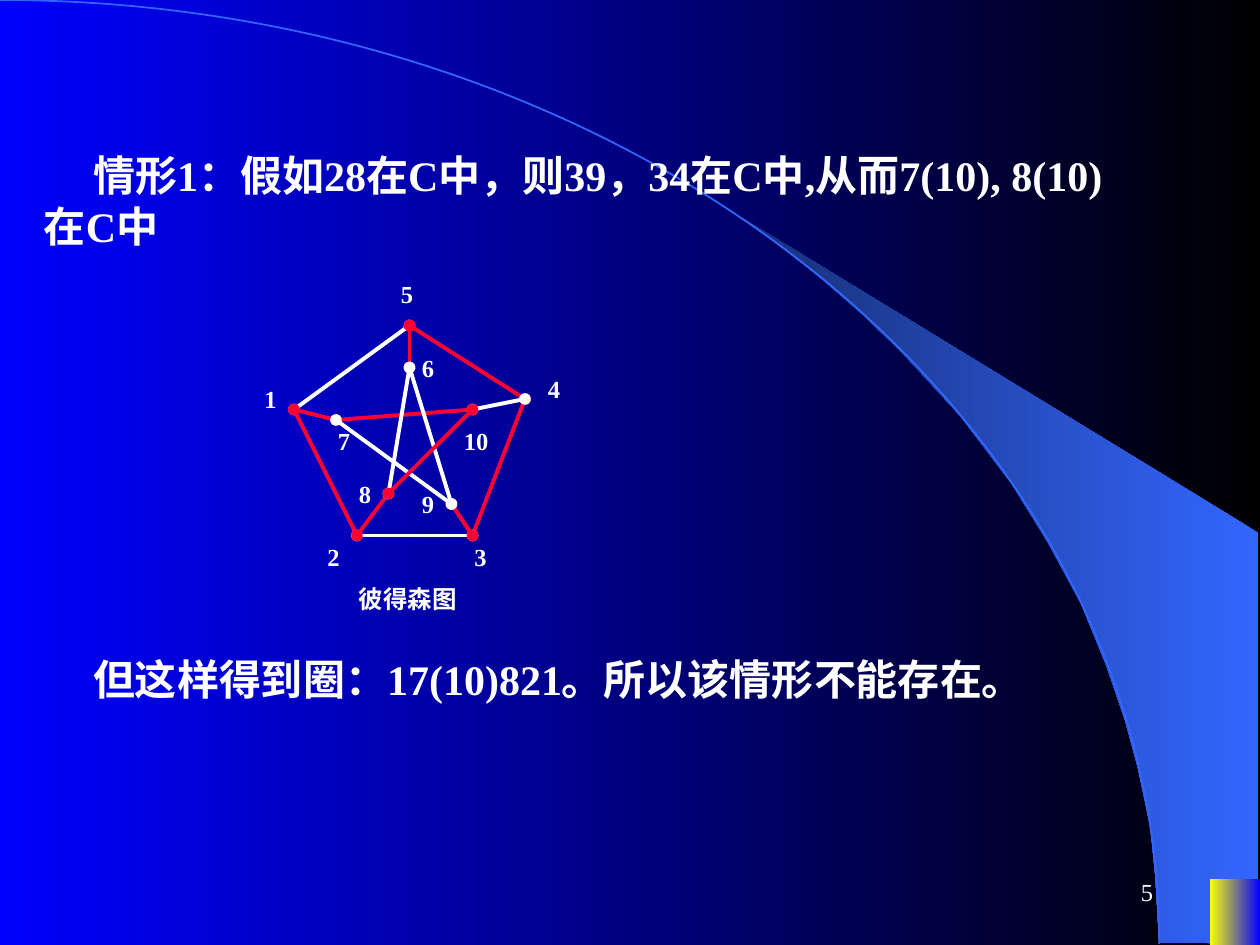
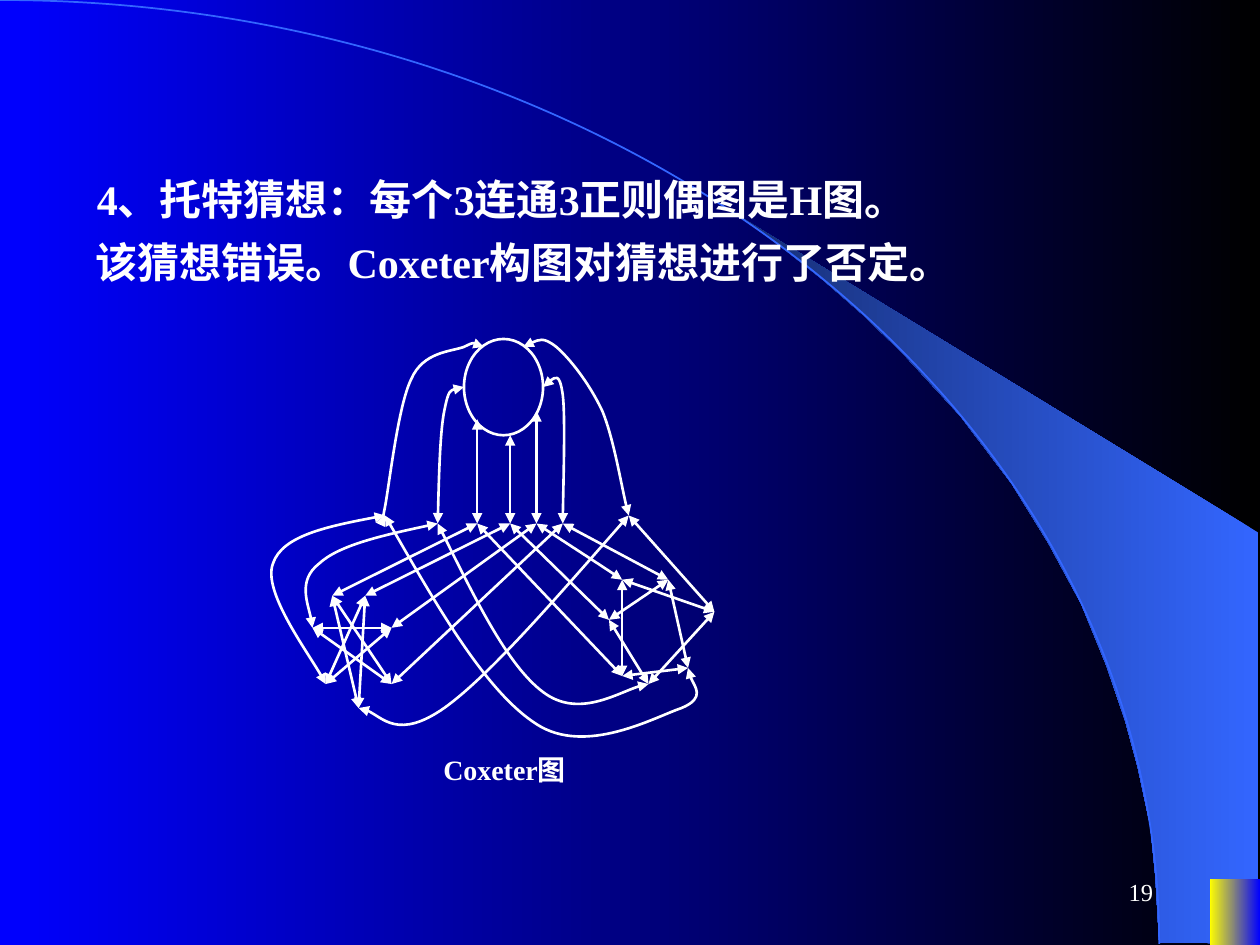
from dataclasses import dataclass

from lxml.etree import SubElement
from pptx import Presentation
from pptx.dml.color import RGBColor
from pptx.enum.shapes import MSO_CONNECTOR as Connector, MSO_SHAPE as Preset
from pptx.enum.text import MSO_ANCHOR as Anchor, PP_ALIGN as Align
from pptx.oxml.ns import qn
from pptx.util import Inches, Pt

COLORS = {
    "black": "000000",
    "blue": "0000FF",
    "sky": "3366FF",
    "navy": "172F75",
    "yellow": "FFFF00",
    "white": "FFFFFF",
    "red": "FF0033",
}
FONT = "Times New Roman"
BLANK_LAYOUT = 6


@dataclass
class Grid:
    left: float
    top: float
    column: float
    row: float

    def at(self, column, row):
        return (Inches(self.left + column * self.column),
                Inches(self.top + row * self.row))


PAGE = Grid(0, 0, 1, 1)
PETERSEN = Grid(0, 0, 1 / 12, 1 / 12)
COXETER = Grid(2.48, 2.69, 3.19 / 61, 2.93 / 46)

BAND_OUTLINE = [
    (9.2, 7.48), (9.99, 7.49), (9.99, 4.23), (5.89, 1.73), (6.24, 1.99),
    (6.53, 2.22), (6.85, 2.5), (7.16, 2.8), (7.62, 3.3), (8.03, 3.84),
    (8.32, 4.31), (8.58, 4.79), (8.78, 5.28), (8.93, 5.72), (9.03, 6.09),
    (9.13, 6.56), (9.17, 6.96),
]
ARC = [(0, 0), (5.08, 0), (9.2, 3.35), (9.2, 7.49)]

PETERSEN_NODES = {
    1: (28, 39), 2: (34, 51), 3: (45, 51), 4: (50, 38), 5: (39, 31),
    6: (39, 35), 7: (32, 40), 8: (37, 47), 9: (43, 48), 10: (45, 39),
}
PETERSEN_LABELS = {
    1: (24, 36), 2: (30, 51), 3: (44, 51), 4: (51, 35), 5: (37, 26),
    6: (39, 33), 7: (31, 40), 8: (33, 45), 9: (39, 46), 10: (43, 40),
}
PETERSEN_EDGES = [
    (7, 10, "red"), (5, 1, "white"), (5, 4, "red"), (1, 2, "red"),
    (4, 3, "red"), (2, 3, "white"), (5, 6, "red"), (1, 7, "red"),
    (10, 4, "white"), (9, 3, "red"), (8, 2, "red"), (6, 8, "white"),
    (6, 9, "white"), (7, 9, "white"), (10, 8, "red"),
]

COXETER_EDGES = [
    ((30, 12), (30, 23)), ((25, 10), (25, 23)), ((34, 9), (34, 23)),
    ((8, 32), (2, 43)), ((8, 32), (7, 46)), ((3, 32), (12, 43)),
    ((3, 32), (7, 46)), ((0, 36), (12, 36)), ((12, 36), (2, 43)),
    ((0, 36), (12, 43)), ((45, 35), (54, 30)), ((54, 30), (57, 41)),
    ((45, 35), (51, 43)), ((47, 30), (47, 42)), ((47, 30), (61, 34)),
    ((47, 42), (57, 41)), ((61, 34), (51, 43)), ((25, 23), (3, 32)),
    ((30, 23), (8, 32)), ((34, 23), (12, 36)), ((38, 23), (12, 43)),
    ((38, 23), (54, 30)), ((48, 22), (61, 34)), ((30, 23), (45, 35)),
    ((25, 23), (47, 42)),
]
COXETER_CURVES = [
    [(26, 1), (25.2, 0.6), (24.7, 0.3), (23, 1), (21, 1.6), (16.8, 1.6),
     (15, 5), (13, 8.3), (11.7, 18), (11, 21), (10.3, 23.9), (10.5, 23),
     (11, 22)],
    [(32, 1), (33.5, 0.3), (35, -0.3), (37, 1), (39, 2.4), (42, 5.5),
     (44, 9), (45.7, 12.4), (47.2, 19.8), (48, 22)],
    [(23, 6), (21.8, 6), (20.7, 6.1), (20, 9), (19.3, 11.8), (19.1, 20.6),
     (19, 23)],
    [(35, 6), (36.1, 5), (37.5, 4.1), (38, 7), (38.4, 9.7), (38, 20.3),
     (38, 23)],
    [(48, 22), (37.3, 32), (26.8, 42), (20, 46), (13, 50), (9.2, 46),
     (7, 46)],
    [(19, 23), (11.5, 24.3), (4, 25.7), (1, 28), (-2.3, 30.1), (0, 34.7),
     (0, 36)],
    [(11, 22), (3.2, 23.2), (-4.6, 24.5), (-6, 28), (-7.6, 31.4),
     (0.6, 40.5), (2, 43)],
    [(34, 23), (39.4, 25.9), (44.7, 28.7), (47, 30)],
    [(19, 23), (24.3, 31.7), (29.6, 40.7), (35, 44), (40.3, 47.3),
     (48.2, 43.2), (51, 43)],
    [(11, 22), (18.7, 33), (26.4, 44), (34, 48), (41.5, 52), (52, 47.1),
     (56, 46), (59.8, 44.7), (56.8, 41.8), (57, 41)],
]


def color(name):
    return RGBColor.from_string(COLORS[name])


def fill_gradient(fill, right, left):
    fill.gradient()
    fill.gradient_angle = 180
    for stop, name, position in zip(fill.gradient_stops, (right, left), (0, 1)):
        stop.color.rgb = color(name)
        stop.position = position


def style_line(shape, name, width, ends=None):
    shape.line.color.rgb = color(name)
    shape.line.width = Pt(width)
    if ends:
        line = shape.element.spPr.find(qn("a:ln"))
        for end in ("a:headEnd", "a:tailEnd"):
            SubElement(line, qn(end)).set("type", ends)


def add_outline(slide, grid, points, close):
    start, *others = [grid.at(*point) for point in points]
    builder = slide.shapes.build_freeform(*start)
    builder.add_line_segments(others, close=close)
    shape = builder.convert_to_shape()
    shape.shadow.inherit = False
    return shape


def add_curve(slide, grid, points, name, width, ends=None):
    shape = add_outline(slide, grid, points, False)
    shape.fill.background()
    segments = list(shape.element.iter(qn("a:lnTo")))
    for index in range(0, len(segments), 3):
        bezier = SubElement(segments[index].getparent(), qn("a:cubicBezTo"))
        for segment in segments[index:index + 3]:
            bezier.append(segment[0])
            segment.getparent().remove(segment)
    style_line(shape, name, width, ends)
    return shape


def add_edge(slide, grid, start, end, name, width, ends):
    connector = slide.shapes.add_connector(
        Connector.STRAIGHT, *grid.at(*start), *grid.at(*end))
    style_line(connector, name, width, ends)
    SubElement(connector.element.spPr, qn("a:effectLst"))


def add_text(slide, position, width, height, text, size, bold=True,
             indent=0, align=Align.LEFT, anchor=Anchor.TOP):
    box = slide.shapes.add_textbox(*position, Inches(width), Inches(height))
    frame = box.text_frame
    frame.word_wrap = True
    frame.vertical_anchor = anchor
    paragraph = frame.paragraphs[0]
    paragraph.alignment = align
    if indent:
        paragraph._p.get_or_add_pPr().set("indent", str(Inches(indent)))
    run = paragraph.add_run()
    run.text = text
    run.font.name = FONT
    run.font.size = Pt(size)
    run.font.bold = bold
    run.font.color.rgb = color("white")


def decorate_master(presentation, slide):
    master = presentation.slide_master
    fill_gradient(master.background.fill, "black", "blue")

    band = add_outline(slide, PAGE, BAND_OUTLINE, True)
    fill_gradient(band.fill, "sky", "navy")
    band.line.fill.background()

    arc = add_curve(slide, PAGE, ARC, "sky", 1)

    corner = slide.shapes.add_shape(
        Preset.RECTANGLE, *PAGE.at(9.6, 6.98), Inches(0.4), Inches(0.52))
    corner.shadow.inherit = False
    fill_gradient(corner.fill, "blue", "yellow")
    corner.line.fill.background()

    for number, shape in enumerate((band, arc, corner), 101):
        shape.element.nvSpPr.cNvPr.set("id", str(number))
        master.shapes.element.append(shape.element)


def add_number(slide, number):
    add_text(slide, PAGE.at(7.17, 6.83), 2.08, 0.5, number, 14, bold=False,
             align=Align.RIGHT, anchor=Anchor.MIDDLE)


def draw_petersen(slide):
    for start, end, name in PETERSEN_EDGES:
        add_edge(slide, PETERSEN, PETERSEN_NODES[start], PETERSEN_NODES[end],
                 name, 2.25, "oval")
    for node, place in PETERSEN_LABELS.items():
        width = 0.5 if node > 9 else 0.35
        add_text(slide, PETERSEN.at(*place), width, 0.34, str(node), 14)
    add_text(slide, PETERSEN.at(33, 55), 1.25, 0.34, "彼得森图", 14)


def draw_coxeter(slide):
    left, top = COXETER.at(23, 0)
    right, bottom = COXETER.at(35, 12)
    hub = slide.shapes.add_shape(
        Preset.OVAL, left, top, right - left, bottom - top)
    hub.shadow.inherit = False
    hub.fill.background()
    style_line(hub, "white", 1.5)
    for start, end in COXETER_EDGES:
        add_edge(slide, COXETER, start, end, "white", 1.5, "triangle")
    for points in COXETER_CURVES:
        add_curve(slide, COXETER, points, "white", 1.5, "triangle")
    add_text(slide, PAGE.at(3.42, 5.92), 1.43, 0.37, "Coxeter图", 16)


def main():
    presentation = Presentation()
    presentation.slide_width = Inches(10)
    presentation.slide_height = Inches(7.5)
    layout = presentation.slide_layouts[BLANK_LAYOUT]

    case_slide = presentation.slides.add_slide(layout)
    decorate_master(presentation, case_slide)
    add_text(case_slide, PAGE.at(0.25, 1.14), 8.92, 0.92,
             "情形1：假如28在C中，则39，34在C中,从而7(10), 8(10)在C中",
             24, indent=0.39)
    draw_petersen(case_slide)
    add_text(case_slide, PAGE.at(0.25, 5.14), 8.83, 0.5,
             "但这样得到圈：17(10)821。所以该情形不能存在。", 24, indent=0.39)
    add_number(case_slide, "5")

    conjecture_slide = presentation.slides.add_slide(layout)
    add_text(conjecture_slide, PAGE.at(0.42, 1.33), 8.58, 0.5,
             "4、托特猜想：每个3连通3正则偶图是H图。", 24, indent=0.25)
    add_text(conjecture_slide, PAGE.at(0.33, 1.83), 8.75, 0.5,
             "该猜想错误。Coxeter构图对猜想进行了否定。", 24, indent=0.33)
    draw_coxeter(conjecture_slide)
    add_number(conjecture_slide, "19")

    presentation.save("out.pptx")


if __name__ == "__main__":
    main()
